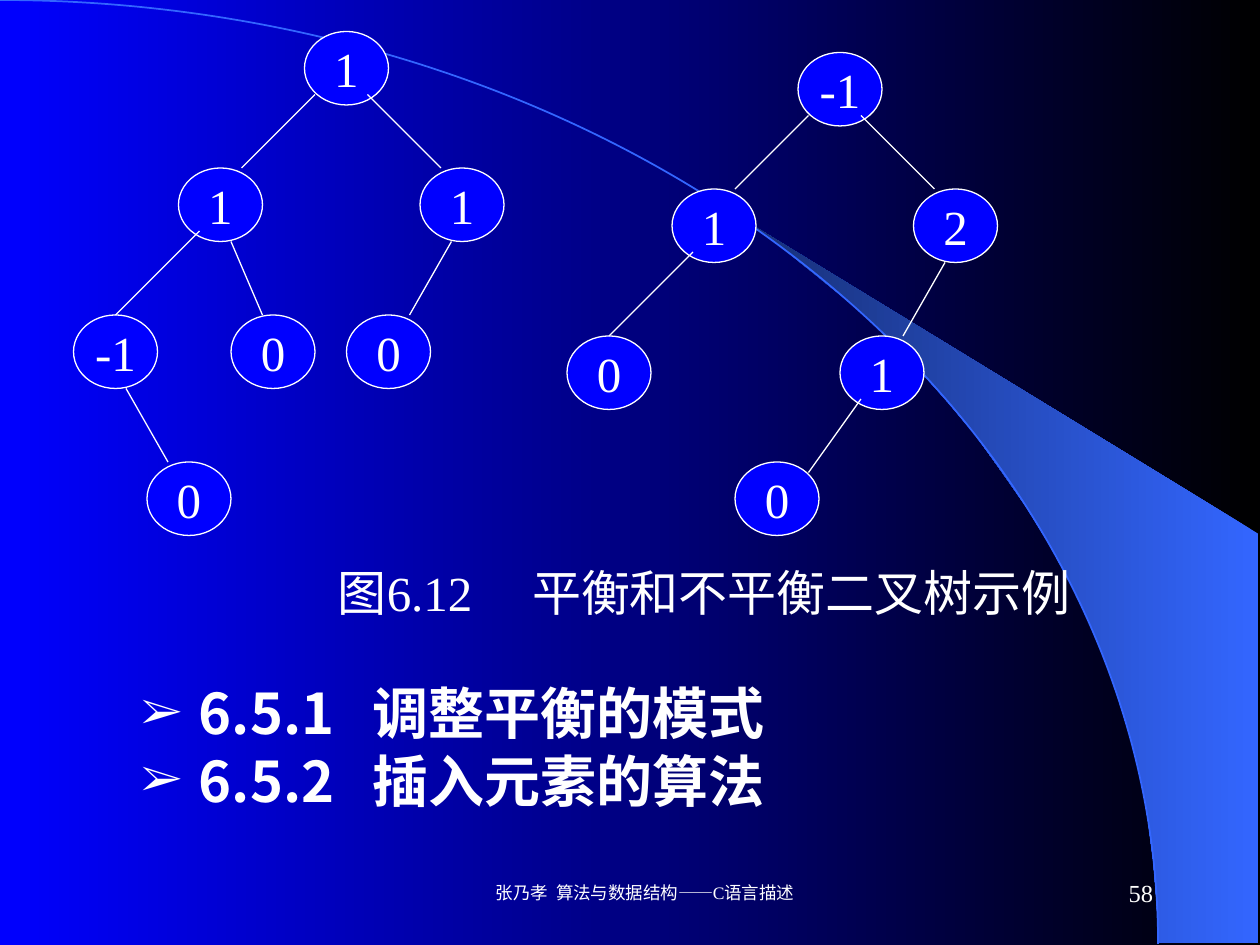
import math
from dataclasses import dataclass

import pptx
import pptx.dml.color
import pptx.enum.shapes
import pptx.enum.text
import pptx.oxml
import pptx.oxml.ns
import pptx.util

Pt = pptx.util.Pt
Align = pptx.enum.text.PP_ALIGN
Anchor = pptx.enum.text.MSO_ANCHOR
Shapes = pptx.enum.shapes.MSO_SHAPE


def color(value):
    return pptx.dml.color.RGBColor.from_string(value)


@dataclass(frozen=True)
class Theme:
    white = color("FFFFFF")
    black = color("000000")
    blue = color("0000FF")
    sky = color("3366FF")
    navy = color("172F75")
    serif = "Times New Roman"
    sans = "Noto Sans CJK SC"
    heading_size = 32
    tree_size = 28
    number_size = 14
    footer_size = 10
    hairline = 0.75


THEME = Theme()

NODE_WIDTH, NODE_HEIGHT = 48, 42
NODE_PLACES = {
    "root": (132, 0),
    "left": (60, 78),
    "right": (198, 78),
    "left-left": (0, 162),
    "left-right": (90, 162),
    "right-left": (156, 162),
    "left-left-right": (42, 246),
    "right-left-left": (96, 234),
}
EDGES = {
    "left": (138, 36, 96, 78),
    "right": (168, 36, 210, 78),
    "left-left": (72, 114, 24, 162),
    "left-right": (90, 120, 108, 162),
    "right-left": (216, 120, 192, 162),
    "left-left-right": (30, 204, 54, 246),
    "right-left-left": (168, 198, 138, 240),
}
BALANCED = {
    "root": "1",
    "left": "1",
    "right": "1",
    "left-left": "-1",
    "left-right": "0",
    "right-left": "0",
    "left-left-right": "0",
}
UNBALANCED = {
    "root": "-1",
    "left": "1",
    "right": "2",
    "left-left": "0",
    "right-left": "1",
    "right-left-left": "0",
}


def element(parent, tag, **attributes):
    child = pptx.oxml.parse_xml(f"<a:{tag} {pptx.oxml.ns.nsdecls('a')}/>")
    for name, value in attributes.items():
        child.set(name, str(value))
    parent.append(child)
    return child


def add_run(paragraph, text, size, font_name=THEME.serif, bold=False):
    run = paragraph.add_run()
    run.text = text
    run.font.name = font_name
    element(run.font._element, "ea", typeface=THEME.sans)
    run.font.size = Pt(size)
    run.font.bold = bold
    run.font.color.rgb = THEME.white


def add_tab(paragraph, position):
    tabs = element(paragraph._p.get_or_add_pPr(), "tabLst")
    element(tabs, "tab", pos=Pt(position), algn="l")


def set_indent(paragraph, left, first):
    properties = paragraph._p.get_or_add_pPr()
    properties.set("marL", str(Pt(left)))
    properties.set("indent", str(Pt(first)))
    return properties


def add_frame(slide, box, anchor=Anchor.TOP):
    frame = slide.shapes.add_textbox(*map(Pt, box)).text_frame
    frame.word_wrap = True
    frame.vertical_anchor = anchor
    return frame


def fill_gradient(fill, first, last):
    fill.gradient()
    fill.gradient_angle = 180
    for stop, position, stop_color in zip(fill.gradient_stops, (0, 1), (first, last)):
        stop.position = position
        stop.color.rgb = stop_color


def draw_backdrop(slide, box):
    left, top, width, height = box
    fill_gradient(slide.background.fill, THEME.black, THEME.blue)
    radius_x, radius_y = width * 0.92, height
    start = math.asin(0.64)
    steps = 20
    angles = [start + (math.pi / 2 - start) * step / steps for step in range(steps + 1)]
    curve = [
        (left + radius_x * math.sin(angle), top + radius_y * (1 - math.cos(angle)))
        for angle in angles
    ]
    corners = [(left + width, top + height), (left + width, top + height * 0.565)]
    builder = slide.shapes.build_freeform(*curve[0], scale=Pt(1))
    builder.add_line_segments(curve[1:] + corners, close=True)
    beam = builder.convert_to_shape()
    beam.shadow.inherit = False
    fill_gradient(beam.fill, THEME.sky, THEME.navy)
    beam.line.fill.background()

    arc = slide.shapes.add_shape(
        Shapes.ARC, Pt(left - radius_x), Pt(top), Pt(2 * radius_x), Pt(2 * radius_y)
    )
    arc.shadow.inherit = False
    arc.fill.background()
    arc.line.color.rgb = THEME.sky
    arc.line.width = Pt(1)


def draw_node(slide, box, label):
    node = slide.shapes.add_shape(Shapes.OVAL, *map(Pt, box))
    node.shadow.inherit = False
    node.fill.solid()
    node.fill.fore_color.rgb = THEME.blue
    node.line.color.rgb = THEME.white
    node.line.width = Pt(THEME.hairline)
    frame = node.text_frame
    frame.word_wrap = False
    frame.vertical_anchor = Anchor.MIDDLE
    frame.paragraphs[0].alignment = Align.CENTER
    add_run(frame.paragraphs[0], label, THEME.tree_size)
    return node


def draw_tree(slide, left, top, labels):
    nodes = {}
    for name, label in labels.items():
        x, y = NODE_PLACES[name]
        nodes[name] = draw_node(slide, (left + x, top + y, NODE_WIDTH, NODE_HEIGHT), label)
    for name, (x1, y1, x2, y2) in EDGES.items():
        if name not in nodes:
            continue
        edge = slide.shapes.add_connector(
            pptx.enum.shapes.MSO_CONNECTOR.STRAIGHT,
            Pt(left + x1), Pt(top + y1), Pt(left + x2), Pt(top + y2),
        )
        edge.line.color.rgb = THEME.white
        edge.line.width = Pt(THEME.hairline)
        element(edge._element.spPr, "effectLst")
        place_x, place_y = NODE_PLACES[name]
        if (x2, y2) == (place_x + NODE_WIDTH / 2, place_y):
            edge.end_connect(nodes[name], 0)


def draw_caption(slide, box):
    paragraph = add_frame(slide, box).paragraphs[0]
    add_tab(paragraph, 111)
    add_run(paragraph, "图6.12\t平衡和不平衡二叉树示例", THEME.tree_size)


def draw_sections(slide, box, titles):
    frame = add_frame(slide, box)
    frame.margin_top = Pt(16)
    frame.margin_bottom = Pt(15)
    for index, title in enumerate(titles):
        paragraph = frame.add_paragraph() if index else frame.paragraphs[0]
        properties = set_indent(paragraph, 34.5, -33)
        bullet_color = element(properties, "buClr")
        element(bullet_color, "srgbClr", val=THEME.white)
        element(properties, "buSzPct", val=80000)
        element(properties, "buFont", typeface=THEME.serif)
        element(properties, "buChar", char="➢")
        add_tab(paragraph, 133.5)
        paragraph.alignment = Align.JUSTIFY
        add_run(paragraph, title, THEME.heading_size, THEME.sans, bold=True)


def draw_footer(slide, box, text, size, alignment):
    paragraph = add_frame(slide, box, Anchor.MIDDLE).paragraphs[0]
    set_indent(paragraph, 17.28, 0)
    paragraph.alignment = alignment
    add_run(paragraph, text, size)


def main():
    presentation = pptx.Presentation()
    presentation.slide_width, presentation.slide_height = Pt(720), Pt(540)
    slide = presentation.slides.add_slide(presentation.slide_layouts[6])
    draw_backdrop(slide, (0, 0, 719.3, 539.3))
    draw_tree(slide, 42, 18, BALANCED)
    draw_tree(slide, 324, 30, UNBALANCED)
    draw_caption(slide, (186, 318, 438, 41))
    draw_sections(
        slide, (72, 372, 516, 108), ["6.5.1\t调整平衡的模式", "6.5.2\t插入元素的算法"]
    )
    draw_footer(
        slide, (246, 492, 228, 36), "张乃孝  算法与数据结构——C语言描述",
        THEME.footer_size, Align.CENTER,
    )
    draw_footer(slide, (516, 492, 150, 36), "58", THEME.number_size, Align.RIGHT)
    presentation.save("out.pptx")


if __name__ == "__main__":
    main()
